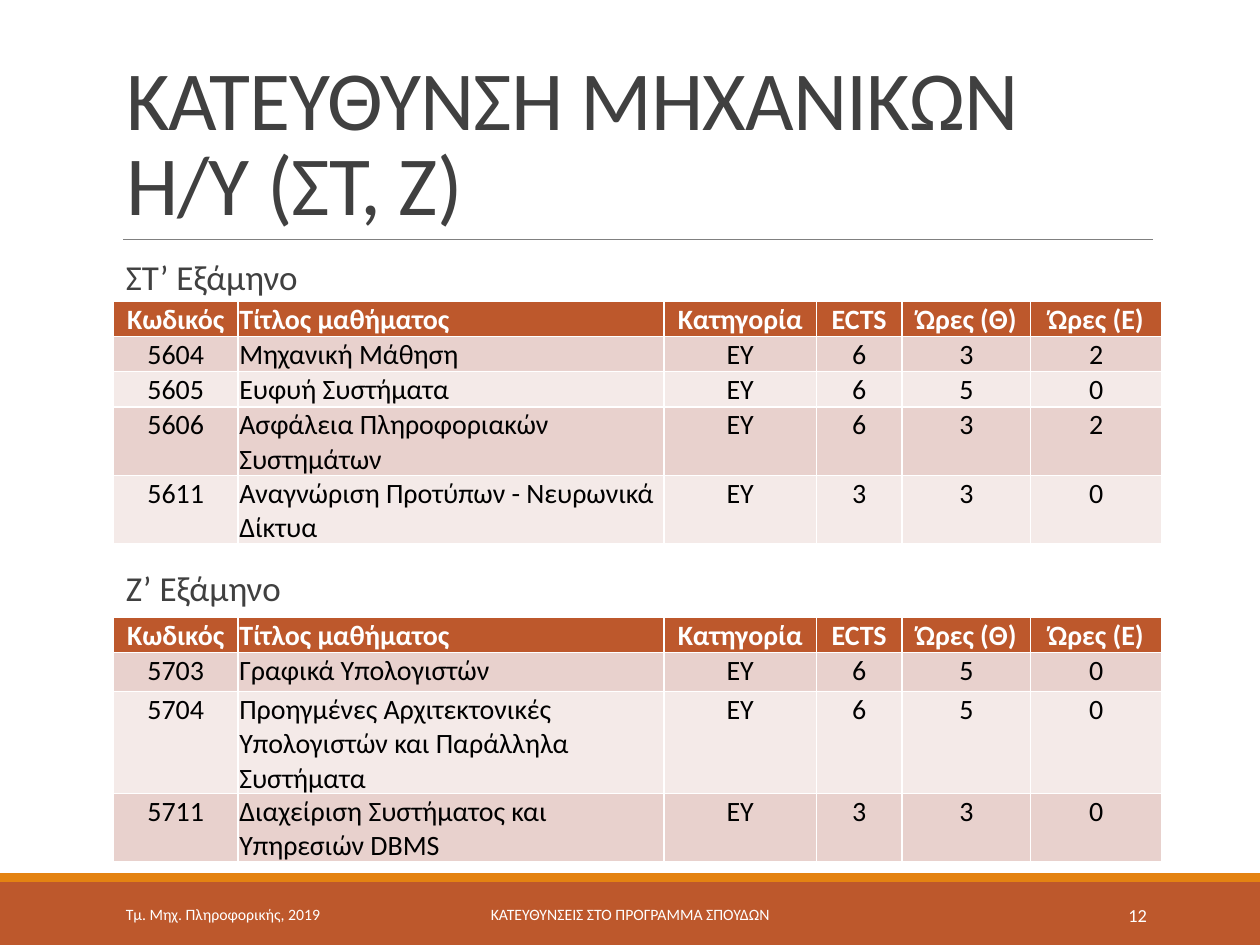
"""Builds the slide with the course tables of the computer engineering track."""
from pptx import Presentation
from pptx import util as u
from pptx.dml.color import RGBColor
from pptx.enum import shapes, text
from pptx.oxml.ns import qn
from lxml import etree

FONT = "Calibri"
RUST, GOLD, WHITE, DARK = "BD582C", "E48312", "FFFFFF", "404040"
BANDS = ["E8D1CD", "F4EAE8"]
LEFT, MID, RIGHT = text.PP_ALIGN.LEFT, text.PP_ALIGN.CENTER, text.PP_ALIGN.RIGHT
TOP, CENTER, BOTTOM = (text.MSO_ANCHOR.TOP, text.MSO_ANCHOR.MIDDLE,
                       text.MSO_ANCHOR.BOTTOM)

TITLE = "ΚΑΤΕΥΘΥΝΣΗ ΜΗΧΑΝΙΚΩΝ Η/Υ (ΣΤ, Ζ)"
TERMS = [("ΣΤ’ Εξάμηνο", 0), ("Ζ’ Εξάμηνο", 154)]
HEAD = ["Κωδικός", "Τίτλος μαθήματος", "Κατηγορία", "ECTS", "Ώρες (Θ)", "Ώρες (Ε)"]
WIDTHS = [0.99, 3.38, 1.21, 0.68, 1.02, 1.04]
TABLES = [
    (2.39, [0.28, 0.28, 0.28, 0.54, 0.54], [
        ["5604", "Μηχανική Μάθηση", "ΕΥ", "6", "3", "2"],
        ["5605", "Ευφυή Συστήματα", "ΕΥ", "6", "5", "0"],
        ["5606", "Ασφάλεια Πληροφοριακών Συστημάτων", "ΕΥ", "6", "3", "2"],
        ["5611", "Αναγνώριση Προτύπων - Νευρωνικά Δίκτυα", "ΕΥ", "3", "3", "0"],
    ]),
    (4.9, [0.28, 0.31, 0.81, 0.54], [
        ["5703", "Γραφικά Υπολογιστών", "ΕΥ", "6", "5", "0"],
        ["5704", "Προηγμένες Αρχιτεκτονικές Υπολογιστών και Παράλληλα Συστήματα",
         "ΕΥ", "6", "5", "0"],
        ["5711", "Διαχείριση Συστήματος και Υπηρεσιών DBMS", "ΕΥ", "3", "3", "0"],
    ]),
]
BARS = [(7, 0.5, RUST), (6.93, 0.07, GOLD)]
FOOT = [
    ("Τμ. Μηχ. Πληροφορικής, 2019", 0.9, 2.03, 9, LEFT),
    ("ΚΑΤΕΥΘΥΝΣΕΙΣ ΣΤΟ ΠΡΟΓΡΑΜΜΑ ΣΠΟΥΔΩΝ", 3.02, 3.96, 9, MID),
    ("12", 8.12, 1.08, 10.5, RIGHT),
]


def rgb(code):
    return RGBColor.from_string(code)


def box(nums):
    return [u.Inches(n) for n in nums]


def paint(fill, code):
    fill.solid()
    fill.fore_color.rgb = rgb(code)


def write(para, words, size=16, color="000000", bold=False, align=LEFT,
          line=None, before=None, after=None, track=None):
    para.alignment = align
    para.line_spacing = line
    if before is not None:
        para.space_before = u.Pt(before)
    if after is not None:
        para.space_after = u.Pt(after)
    run = para.add_run()
    run.text = words
    font = run.font
    font.name, font.size, font.bold = FONT, u.Pt(size), bold
    font.color.rgb = rgb(color)
    if track:
        run._r.get_or_add_rPr().set("spc", str(track))


def add_frame(slide, place, anchor=TOP):
    frame = slide.shapes.add_textbox(*box(place)).text_frame
    frame.word_wrap = True
    frame.vertical_anchor = anchor
    return frame


def add_base(slide):
    for top, high, color in BARS:
        bar = slide.shapes.add_shape(shapes.MSO_SHAPE.RECTANGLE,
                                     *box((0, top, 10, high)))
        bar.shadow.inherit = False
        paint(bar.fill, color)
        bar.line.fill.background()
    rule = slide.shapes.add_connector(shapes.MSO_CONNECTOR.STRAIGHT,
                                      *box((0.98, 1.9, 9.15, 1.9)))
    rule.line.color.rgb = rgb("808080")
    rule.line.width = u.Pt(0.5)
    etree.SubElement(rule._element.spPr, qn("a:effectLst"))
    for words, left, wide, size, align in FOOT:
        frame = add_frame(slide, (left, 7.06, wide, 0.4), CENTER)
        write(frame.paragraphs[0], words, size=size, color=WHITE, align=align)


def add_title(slide):
    title = slide.shapes.title
    title.left, title.top, title.width, title.height = box((0.9, 0.31, 8.25, 1.59))
    frame = title.text_frame
    frame.word_wrap = True
    frame.auto_size = text.MSO_AUTO_SIZE.NONE
    frame.vertical_anchor = BOTTOM
    write(frame.paragraphs[0], TITLE, size=48, color=DARK, line=0.85, track=-50)


def add_terms(slide):
    frame = add_frame(slide, (0.9, 2.02, 8.25, 4.4))
    for i, (words, gap) in enumerate(TERMS):
        para = frame.add_paragraph() if i else frame.paragraphs[0]
        write(para, words, size=20, color=DARK, line=0.9, before=gap, after=2)


def add_grid(slide, top, highs, rows):
    place = box((0.9, top, sum(WIDTHS), sum(highs)))
    grid = slide.shapes.add_table(len(highs), len(WIDTHS), *place).table
    for col, wide in zip(grid.columns, WIDTHS):
        col.width = u.Inches(wide)
    for r, (high, row) in enumerate(zip(highs, [HEAD] + rows)):
        grid.rows[r].height = u.Inches(high)
        for c, words in enumerate(row):
            cell = grid.cell(r, c)
            cell.margin_left = cell.margin_right = cell.margin_top = u.Inches(0.01)
            cell.margin_bottom = 0
            cell.vertical_anchor = TOP if r else BOTTOM
            paint(cell.fill, BANDS[(r - 1) % 2] if r else RUST)
            write(cell.text_frame.paragraphs[0], words, bold=not r,
                  color="000000" if r else WHITE, align=LEFT if c == 1 else MID)


def main():
    deck = Presentation()
    deck.slide_width, deck.slide_height = box((10, 7.5))
    slide = deck.slides.add_slide(deck.slide_layouts[5])
    add_base(slide)
    add_title(slide)
    add_terms(slide)
    for top, highs, rows in TABLES:
        add_grid(slide, top, highs, rows)
    deck.save("out.pptx")


if __name__ == "__main__":
    main()
